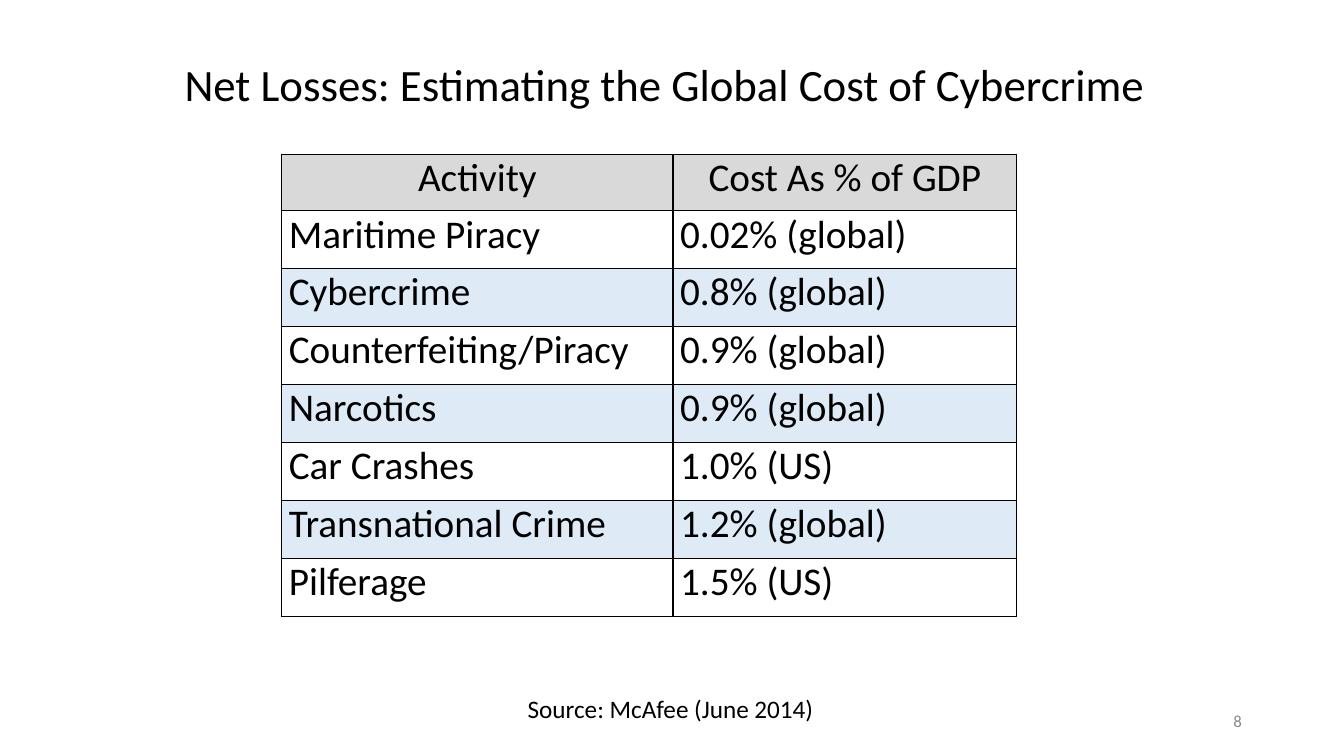
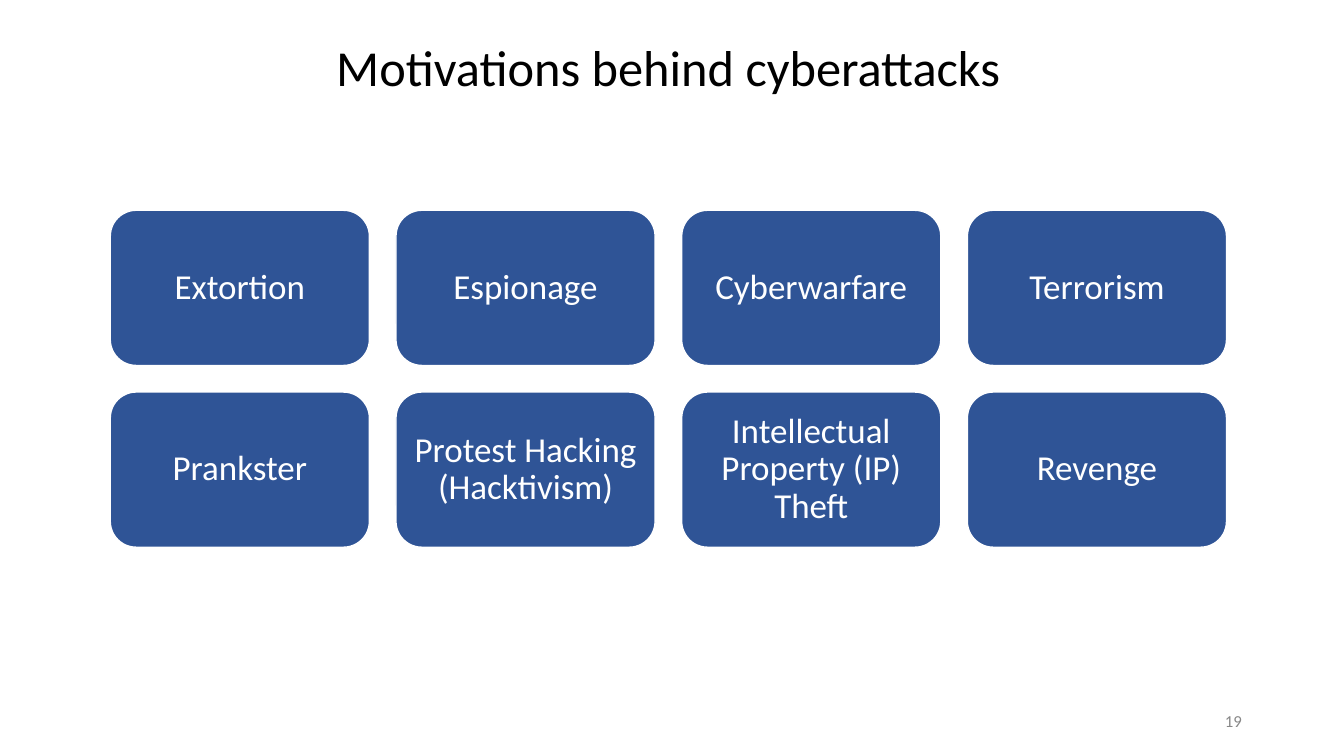
from pptx import Presentation, util as u
from pptx.dml.color import RGBColor
from pptx.enum import shapes, text
from pptx.oxml import parse_xml
from pptx.oxml.ns import nsdecls

Cm, Pt = u.Cm, u.Pt
ALIGN, ANCHOR = text.PP_ALIGN, text.MSO_ANCHOR
COLORS = {
    "ink": "000000", "paper": "FFFFFF", "muted": "888888",
    "head": "D9D9D9", "band": "DEEAF6", "card": "2F5496",
}
COSTS = [
    ("Activity", "Cost As % of GDP"),
    ("Maritime Piracy", "0.02% (global)"),
    ("Cybercrime", "0.8% (global)"),
    ("Counterfeiting/Piracy", "0.9% (global)"),
    ("Narcotics", "0.9% (global)"),
    ("Car Crashes", "1.0% (US)"),
    ("Transnational Crime", "1.2% (global)"),
    ("Pilferage", "1.5% (US)"),
]
MOTIVES = [
    ("Extortion", "Espionage", "Cyberwarfare", "Terrorism"),
    ("Prankster", "Protest Hacking (Hacktivism)",
     "Intellectual Property (IP) Theft", "Revenge"),
]


def color(name):
    return RGBColor.from_string(COLORS[name])


def assign(item, values):
    for name, value in values.items():
        setattr(item, name, value)


class Deck:
    """Holds the shared style and the slide being filled."""

    font = {"name": "Calibri", "bold": False}
    pad = {"margin_left": Cm(0.25), "margin_right": Cm(0.25),
           "margin_top": Cm(0.13), "margin_bottom": Cm(0.13)}

    def __init__(self):
        self.file = Presentation()
        assign(self.file, {"slide_width": Cm(33.87), "slide_height": Cm(19.05)})

    def put(self, frame, words, size, ink="ink", align=ALIGN.LEFT, gap=1.0):
        """Set the text of a frame and its style."""
        frame.text = words
        para = frame.paragraphs[0]
        assign(para, {"alignment": align, "line_spacing": gap})
        assign(para.font, {**self.font, "size": Pt(size)})
        para.font.color.rgb = color(ink)

    def fit(self, frame, anchor):
        """Set the margins, wrapping and anchor of a frame."""
        assign(frame, {**self.pad, "word_wrap": True, "vertical_anchor": anchor,
                       "auto_size": text.MSO_AUTO_SIZE.NONE})

    def start(self, title, box, size, align, number):
        """Add a slide with its title and page number."""
        self.slide = self.file.slides.add_slide(self.file.slide_layouts[5])
        head = self.slide.shapes.title
        assign(head, dict(zip(("left", "top", "width", "height"), map(Cm, box))))
        self.fit(head.text_frame, ANCHOR.TOP)
        self.put(head.text_frame, title, size, align=align)
        self.label(number, (23.93, 17.65, 7.62, 1.01), 12, "muted",
                   ALIGN.RIGHT, ANCHOR.MIDDLE)

    def label(self, words, box, size, ink="ink", align=ALIGN.CENTER,
              anchor=ANCHOR.TOP):
        frame = self.slide.shapes.add_textbox(*map(Cm, box)).text_frame
        self.fit(frame, anchor)
        self.put(frame, words, size, ink, align)

    def card(self, words, box):
        shape = self.slide.shapes.add_shape(
            shapes.MSO_SHAPE.ROUNDED_RECTANGLE, *map(Cm, box))
        shape.shadow.inherit = False
        shape.fill.solid()
        shape.fill.fore_color.rgb = color("card")
        shape.line.color.rgb = color("paper")
        shape.line.width = Pt(1)
        self.fit(shape.text_frame, ANCHOR.MIDDLE)
        self.put(shape.text_frame, words, 25, "paper", ALIGN.CENTER, 0.9)

    def edge(self, cell):
        """Draw a thin line on each side of a cell."""
        for side in "LRTB":
            cell._tc.get_or_add_tcPr().append(parse_xml(
                f'<a:ln{side} {nsdecls("a")} w="{Pt(1)}"><a:solidFill>'
                f'<a:srgbClr val="{COLORS["ink"]}"/></a:solidFill></a:ln{side}>'))

    def table(self, rows, spot, widths, heights):
        grid = self.slide.shapes.add_table(
            len(rows), len(widths), *map(Cm, (*spot, sum(widths), sum(heights)))).table
        grid.horz_banding = False
        for col, width in zip(grid.columns, widths):
            col.width = Cm(width)
        for i, (row, height) in enumerate(zip(rows, heights)):
            grid.rows[i].height = Cm(height)
            fill = "head" if i == 0 else "paper" if i % 2 else "band"
            for j, words in enumerate(row):
                cell = grid.cell(i, j)
                assign(cell, {"margin_left": Cm(0.18), "margin_right": Cm(0.18),
                              "margin_top": 0, "margin_bottom": 0})
                self.edge(cell)
                cell.fill.solid()
                cell.fill.fore_color.rgb = color(fill)
                self.put(cell.text_frame, words, 28,
                         align=ALIGN.LEFT if i else ALIGN.CENTER)


def main():
    deck = Deck()

    deck.start("Net Losses: Estimating the Global Cost of Cybercrime",
               (4.4, 1.3, 24.97, 1.63), 32, ALIGN.LEFT, "8")
    deck.table(COSTS, (7.1, 3.89), (9.86, 8.66), [1.42] + [1.46] * 7)
    deck.label("Source: McAfee (June 2014)", (11.26, 17.35, 11.28, 1.02), 18)

    deck.start("Motivations behind cyberattacks",
               (4.55, 0.79, 24.59, 1.8), 36, ALIGN.CENTER, "19")
    wide, high, gap = 6.53, 3.91, 0.67
    for i, row in enumerate(MOTIVES):
        for j, words in enumerate(row):
            deck.card(words, (2.78 + j * (wide + gap),
                              5.3 + i * (high + gap), wide, high))

    deck.file.save("out.pptx")


if __name__ == "__main__":
    main()
